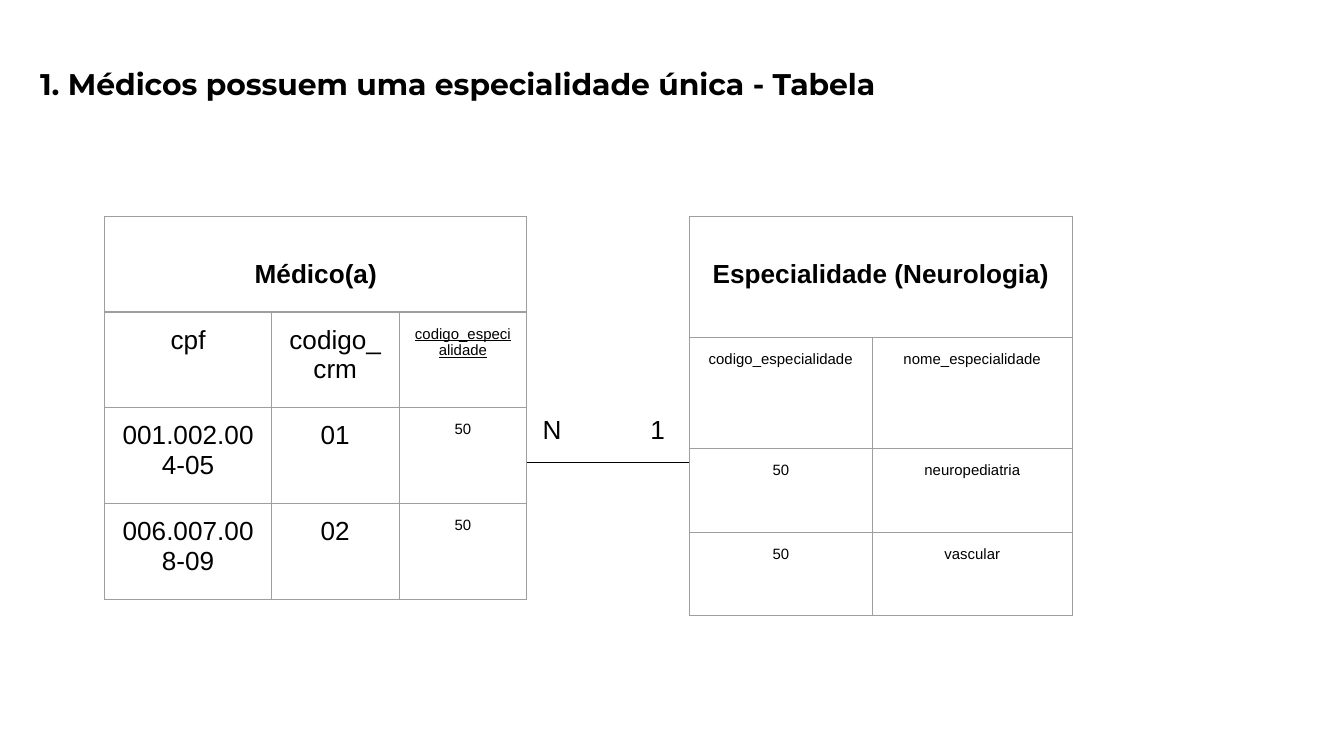
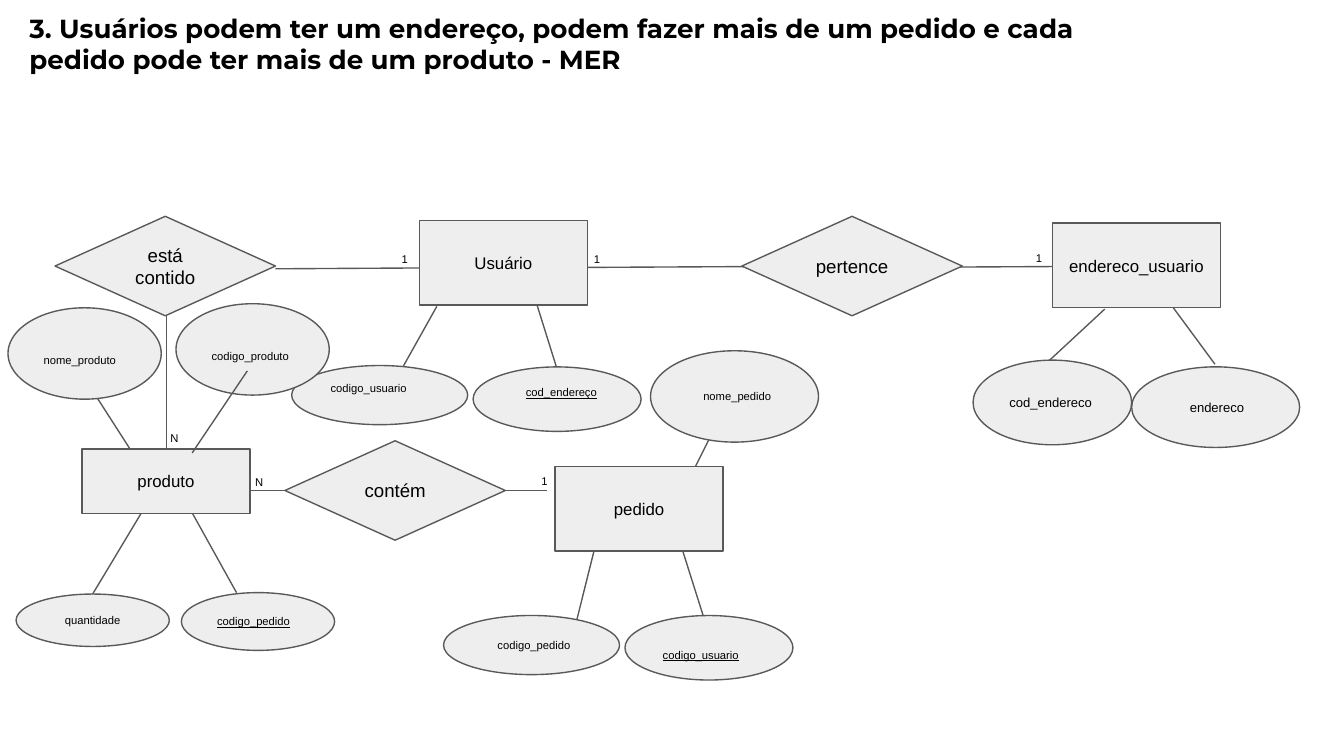
import pptx
import pptx.util
import pptx.oxml.ns
import pptx.dml.color
import pptx.enum.shapes
import pptx.enum.text
import lxml.etree

Inches = pptx.util.Inches
Pt = pptx.util.Pt
Shape = pptx.enum.shapes.MSO_SHAPE
Align = pptx.enum.text.PP_ALIGN
Anchor = pptx.enum.text.MSO_ANCHOR
qn = pptx.oxml.ns.qn

COLORS = {"text": "000000", "border": "9E9E9E", "outline": "595959", "node": "EEEEEE"}
LINE_WIDTH = Pt(0.75)


def write_text(frame, text, size=14, font="Arial", bold=False, underline=False, align=Align.LEFT):
    paragraph = frame.paragraphs[0]
    paragraph.alignment = align
    run = paragraph.add_run()
    run.text = text
    run.font.size = Pt(size)
    run.font.name = font
    run.font.bold = bold
    run.font.underline = underline
    run.font.color.rgb = pptx.dml.color.RGBColor.from_string(COLORS["text"])


def add_line(slide, start_x, start_y, end_x, end_y, color):
    line = slide.shapes.add_connector(
        pptx.enum.shapes.MSO_CONNECTOR.STRAIGHT,
        Inches(start_x), Inches(start_y), Inches(end_x), Inches(end_y))
    line.line.color.rgb = pptx.dml.color.RGBColor.from_string(COLORS[color])
    line.line.width = LINE_WIDTH
    properties = line._element.find(qn("p:spPr"))
    lxml.etree.SubElement(properties, qn("a:effectLst"))


presentation = pptx.Presentation()
presentation.slide_width = Inches(10)
presentation.slide_height = Inches(10 * 9 / 16)

titles = [
    ("1. Médicos possuem uma especialidade única - Tabela", 0.2, 0.39, 0.47, 16),
    ("3. Usuários podem ter um endereço, podem fazer mais de um pedido "
     "e cada pedido pode ter mais de um produto - MER", 0.12, -0.01, 0.67, 14),
]
slides = []
for title, left, top, height, size in titles:
    slide = presentation.slides.add_slide(presentation.slide_layouts[6])
    box = slide.shapes.add_textbox(Inches(left), Inches(top), Inches(8.64), Inches(height))
    frame = box.text_frame
    frame.word_wrap = True
    frame.margin_top = frame.margin_bottom = Inches(0.1)
    write_text(frame, title, size=size, font="Montserrat", bold=True)
    slides.append(slide)
table_slide, diagram_slide = slides

tables = [
    (0.78, "Médico(a)", [1.24, 0.95, 0.95], [2.85 / 4] * 4, [14, 14, 8], [
        ["cpf", "codigo_crm", "codigo_especialidade"],
        ["001.002.004-05", "01", "50"],
        ["006.007.008-09", "02", "50"],
    ], (1, 2)),
    (5.13, "Especialidade (Neurologia)", [1.36, 1.49], [0.9, 0.83, 0.62, 0.62], [8, 8], [
        ["codigo_especialidade", "nome_especialidade"],
        ["50", "neuropediatria"],
        ["50", "vascular"],
    ], None),
]
for left, heading, widths, heights, sizes, rows, foreign_key in tables:
    table = table_slide.shapes.add_table(
        len(heights), len(widths), Inches(left), Inches(1.61),
        Inches(sum(widths)), Inches(sum(heights))).table
    table.first_row = False
    table.horz_banding = False
    for column, width in zip(table.columns, widths):
        column.width = Inches(width)
    for row, height in zip(table.rows, heights):
        row.height = Inches(height)
    for cell in table.iter_cells():
        cell.margin_left = cell.margin_right = Inches(0.1)
        cell.margin_top = cell.margin_bottom = Inches(0.1)
        properties = cell._tc.get_or_add_tcPr()
        for side in ("a:lnL", "a:lnR", "a:lnT", "a:lnB"):
            border = lxml.etree.SubElement(properties, qn(side), w=str(LINE_WIDTH))
            fill = lxml.etree.SubElement(border, qn("a:solidFill"))
            lxml.etree.SubElement(fill, qn("a:srgbClr"), val=COLORS["border"])
        cell.fill.background()
    header = table.cell(0, 0)
    header.merge(table.cell(0, len(widths) - 1))
    header.margin_top = Inches(0.32)
    write_text(header.text_frame, heading, bold=True, align=Align.CENTER)
    for row_index, values in enumerate(rows, 1):
        for column_index, value in enumerate(values):
            write_text(table.cell(row_index, column_index).text_frame, value,
                       size=sizes[column_index], align=Align.CENTER,
                       underline=(row_index, column_index) == foreign_key)

add_line(table_slide, 3.92, 3.44, 5.13, 3.44, "text")

relation_lines = [
    (1.24, 3.34, 1.24, 2.35), (2.05, 2, 3.84, 1.99), (4.37, 1.99, 6.24, 1.98),
    (6.58, 1.99, 8.48, 1.98), (1.86, 3.65, 4.07, 3.65),
]
attribute_lines = [
    (5.29, 3.24, 5.11, 3.6), (3.99, 2.25, 4.14, 2.73), (0.71, 2.94, 1.05, 3.47),
    (5.08, 4.1, 5.27, 4.7), (7.81, 2.68, 8.22, 2.3), (1.76, 4.41, 1.41, 3.78),
    (2.92, 2.87, 3.25, 2.28), (0.69, 4.42, 1.05, 3.82), (9.04, 2.71, 8.73, 2.29),
    (4.28, 4.66, 4.42, 4.1),
]
for points in relation_lines + attribute_lines:
    add_line(diagram_slide, *points, "outline")

entities = [
    ("Usuário", 3.12, 1.64, 0.63),
    ("endereco_usuario", 7.83, 1.66, 0.63),
    ("produto", 0.61, 3.34, 0.48),
    ("pedido", 4.13, 3.47, 0.63),
]
relations = [("pertence", 5.52, 1.61), ("está contido", 0.41, 1.61), ("contém", 2.12, 3.28)]
attributes = [
    ("cod_endereço", 3.52, 2.73, 1.25, 0.48, 6, True, 0.11, -0.05),
    ("endereco", 8.42, 2.73, 1.25, 0.6, 7, False, 0.15, 0),
    ("cod_endereco", 7.24, 2.68, 1.18, 0.63, 7, False, 0, 0),
    ("codigo_usuario", 2.17, 2.72, 1.31, 0.44, 6, False, 0, -0.05),
    ("quantidade", 0.12, 4.42, 1.14, 0.39, 6, False, None, 0),
    ("codigo_pedido", 1.35, 4.41, 1.14, 0.43, 6, True, 0, 0),
    ("codigo_usuario", 4.65, 4.58, 1.25, 0.48, 6, True, 0, 0.05),
    ("codigo_pedido", 3.3, 4.58, 1.31, 0.44, 6, False, 0.11, 0),
    ("nome_produto", 0.06, 2.29, 1.14, 0.68, 6, False, 0, 0.05),
    ("nome_pedido", 4.84, 2.61, 1.25, 0.68, 6, False, 0.11, 0),
    ("codigo_produto", 1.31, 2.26, 1.14, 0.68, 6, False, 0, 0.05),
]
nodes = [(Shape.RECTANGLE, text, left, top, 1.25, height, 9, False, None, 0)
         for text, left, top, height in entities]
nodes += [(Shape.DIAMOND, text, left, top, 1.64, 0.74, 10, False, None, 0)
          for text, left, top in relations]
nodes += [(Shape.OVAL, *attribute) for attribute in attributes]

for kind, text, left, top, width, height, size, underline, indent, drop in nodes:
    shape = diagram_slide.shapes.add_shape(
        kind, Inches(left), Inches(top), Inches(width), Inches(height))
    shape.shadow.inherit = False
    shape.fill.solid()
    shape.fill.fore_color.rgb = pptx.dml.color.RGBColor.from_string(COLORS["node"])
    shape.line.color.rgb = pptx.dml.color.RGBColor.from_string(COLORS["outline"])
    shape.line.width = LINE_WIDTH
    frame = shape.text_frame
    frame.word_wrap = True
    frame.vertical_anchor = Anchor.MIDDLE
    frame.margin_top = Inches(0.1 + drop)
    frame.margin_bottom = Inches(0.1 - drop)
    centered = indent is None
    frame.margin_left = Inches(0.1 if centered else 0.1 + indent)
    frame.margin_right = Inches(0.1 if centered else 0)
    write_text(frame, text, size=size, underline=underline,
               align=Align.CENTER if centered else Align.LEFT)

add_line(diagram_slide, 1.84, 2.76, 1.43, 3.37, "outline")

cardinalities = [
    (table_slide, "N", 3.94, 3.03, 14), (table_slide, "1", 4.74, 3.03, 14),
    (diagram_slide, "1", 3.93, 3.48, 6), (diagram_slide, "N", 1.8, 3.49, 6),
    (diagram_slide, "1", 2.89, 1.83, 6), (diagram_slide, "1", 4.32, 1.83, 6),
    (diagram_slide, "1", 7.61, 1.82, 6), (diagram_slide, "N", 1.17, 3.16, 6),
]
for slide, text, left, top, size in cardinalities:
    box = slide.shapes.add_textbox(
        Inches(left), Inches(top), Inches(0.26), Inches(0.34 if size == 14 else 0.2))
    box.text_frame.word_wrap = True
    write_text(box.text_frame, text, size=size)

presentation.save("out.pptx")
